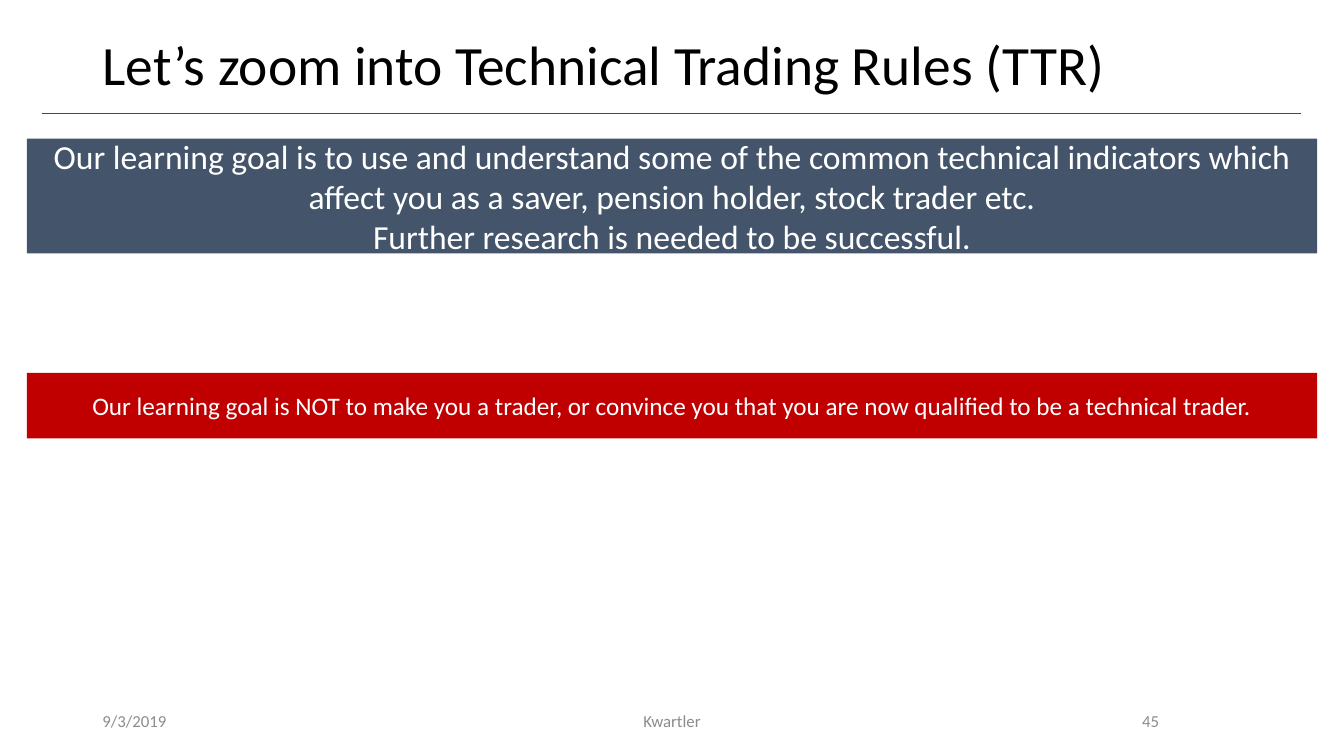
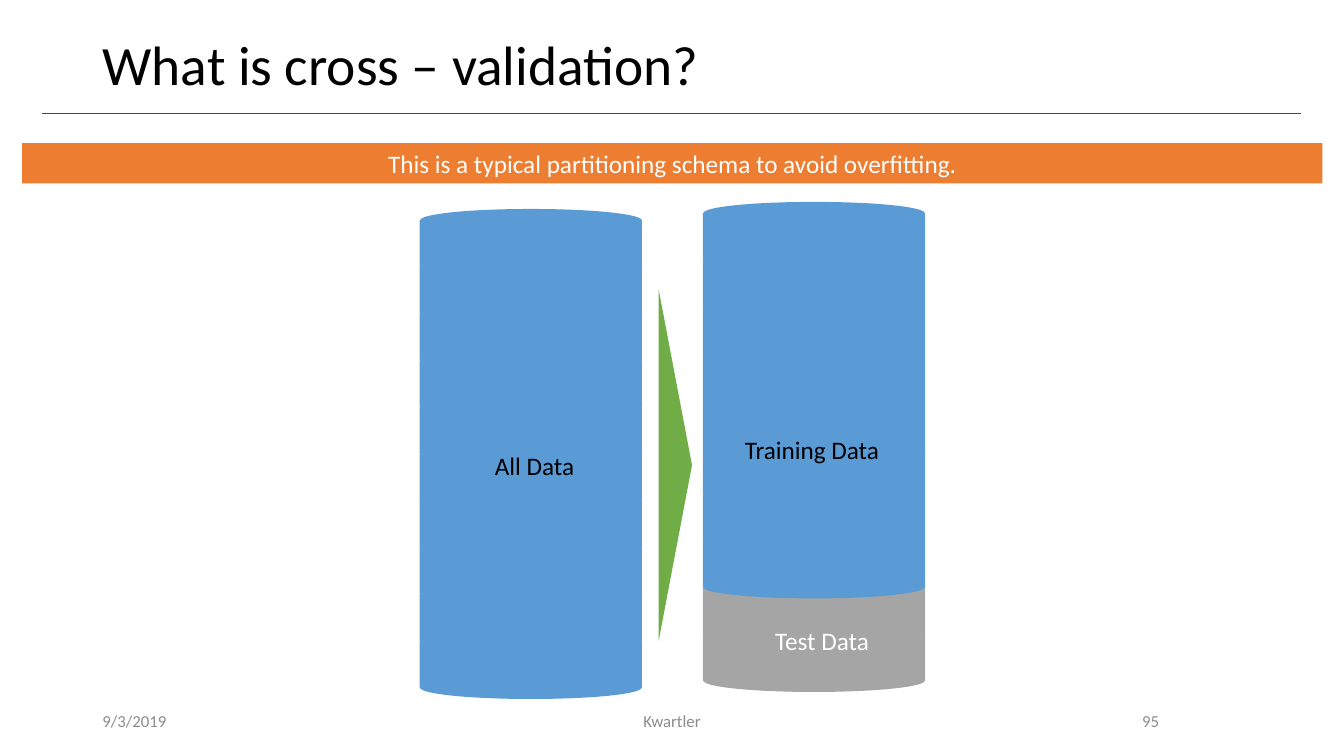
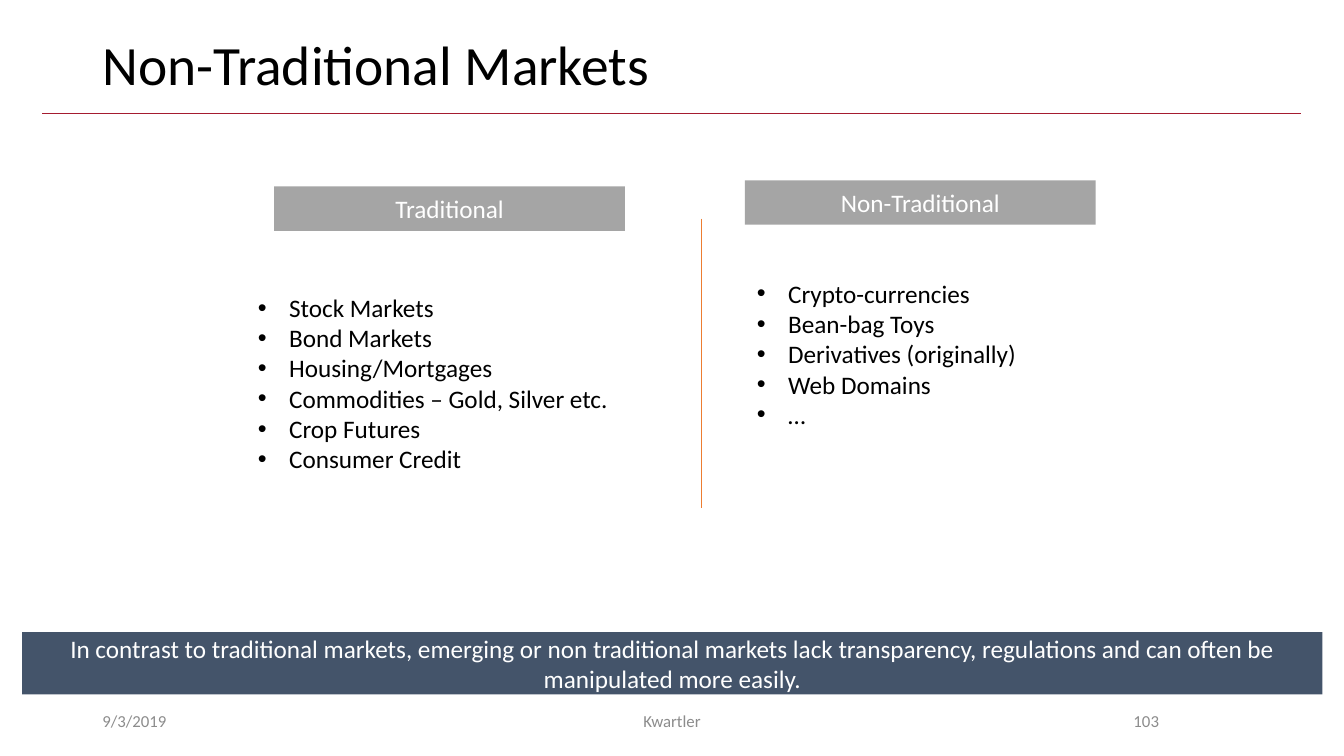
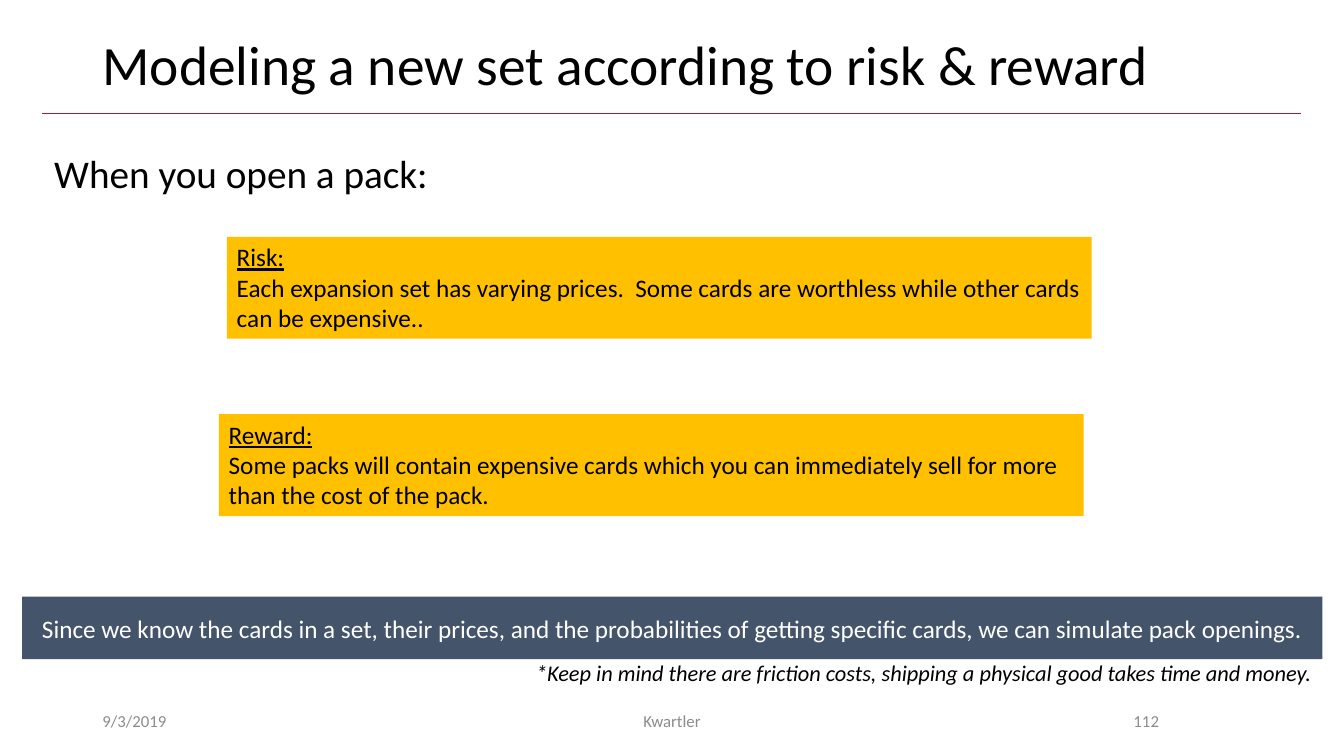
from lxml import etree
from pptx import Presentation
from pptx.dml.color import RGBColor
from pptx.enum.shapes import MSO_CONNECTOR, MSO_SHAPE
from pptx.enum.text import MSO_ANCHOR, MSO_AUTO_SIZE, PP_ALIGN
from pptx.oxml.ns import qn
from pptx.util import Inches, Pt

LEFT, CENTER, RIGHT = PP_ALIGN.LEFT, PP_ALIGN.CENTER, PP_ALIGN.RIGHT
TOP, MIDDLE = MSO_ANCHOR.TOP, MSO_ANCHOR.MIDDLE
RECT, DISK = MSO_SHAPE.RECTANGLE, MSO_SHAPE.FLOWCHART_MAGNETIC_DISK
TRIANGLE = MSO_SHAPE.ISOSCELES_TRIANGLE
STRAIGHT = MSO_CONNECTOR.STRAIGHT
FIT_TEXT, NO_FIT = MSO_AUTO_SIZE.SHAPE_TO_FIT_TEXT, MSO_AUTO_SIZE.NONE

FONT = "Calibri"
COLORS = {name: RGBColor.from_string(value) for name, value in {
    "black": "000000", "white": "FFFFFF", "footer": "8C8C8C",
    "slate": "44546A", "crimson": "A51C30", "red": "C00000",
    "orange": "ED7D31", "gold": "FFC000", "blue": "5B9BD5",
    "gray": "A5A5A5", "green": "70AD47",
}.items()}

prs = Presentation()
prs.slide_width, prs.slide_height = Inches(13.33), Inches(7.5)
X, Y = prs.slide_width / 100, prs.slide_height / 100  # one percent of the slide

BAND_X, BAND_W, BAND_H = 1.65, 96.75, 8.27
FOOTER_Y, ROW_H = 92.67, 5.33


def box(s, at, text="", size=18, color="black", fill=None, line=None,
        align=LEFT, anchor=TOP, wrap=True, kind=RECT):
    """Add a filled shape, or a text box if there is no fill; at is in percent."""
    x, y, w, h = at
    place = int(x * X), int(y * Y), int(w * X), int(h * Y)
    if fill:
        sp = s.shapes.add_shape(kind, *place)
        sp.shadow.inherit = False
        sp.fill.solid()
        sp.fill.fore_color.rgb = COLORS[fill]
        if line:
            sp.line.color.rgb = COLORS[line]
            sp.line.width = Pt(1)
        else:
            sp.line.fill.background()
    else:
        sp = s.shapes.add_textbox(*place)
    if text:
        tf = sp.text_frame
        tf.text = text
        tf.word_wrap = wrap
        tf.auto_size = NO_FIT if wrap else FIT_TEXT
        tf.vertical_anchor = anchor
        for p in tf.paragraphs:
            p.alignment = align
            for r in p.runs:
                r.font.name, r.font.size = FONT, Pt(size)
                r.font.color.rgb = COLORS[color]
    return sp


def new_slide(title, number):
    """Add a slide with its title and footers."""
    s = prs.slides.add_slide(prs.slide_layouts[5])
    sp = s.shapes.title
    sp.left, sp.top = int(6.88 * X), int(5.33 * Y)
    sp.width, sp.height = int(86.25 * X), int(7.2 * Y)
    tf = sp.text_frame
    tf.text = title
    tf.auto_size, tf.vertical_anchor = NO_FIT, MIDDLE
    p = tf.paragraphs[0]
    p.alignment, p.line_spacing = LEFT, 0.9
    font = p.runs[0].font
    font.name, font.size, font.color.rgb = FONT, Pt(39.6), COLORS["black"]
    for x, w, text, align in ((6.88, 22.5, "9/3/2019", LEFT),
                              (33.13, 33.75, "Kwartler", CENTER),
                              (70.63, 16.35, str(number), RIGHT)):
        box(s, (x, FOOTER_Y, w, ROW_H), text, 12, "footer", align=align, anchor=MIDDLE)
    return s


# Learning goals
s = new_slide("Let’s zoom into Technical Trading Rules (TTR)", 45)
goals = (
    (18.33, 15.2, "slate", 24,
     "Our learning goal is to use and understand some of the common technical "
     "indicators which affect you as a saver, pension holder, stock trader etc.\n"
     "Further research is needed to be successful."),
    (49.33, 8.67, "red", 18,
     "Our learning goal is NOT to make you a trader, or convince you that you are "
     "now qualified to be a technical trader."),
)
for y, h, fill, size, text in goals:
    box(s, (2, y, 96, h), text, size, "white", fill, align=CENTER, anchor=MIDDLE)

# Cross-validation
s = new_slide("What is cross – validation?", 95)
DISK_STEP, DISK_COUNT = 6.19, 10
for x, top, test_count in ((31.28, 27.73, 0), (52.35, 26.8, 2)):
    for i in reversed(range(DISK_COUNT)):
        fill = "gray" if i >= DISK_COUNT - test_count else "blue"
        box(s, (x, top + i * DISK_STEP, 16.43, 8.93), fill=fill, line=fill, kind=DISK)
for x, y, w, text, color in ((36.08, 58.93, 7.5, "All Data", "black"),
                             (54.68, 56.8, 12.08, "Training Data", "black"),
                             (56.93, 82, 8.55, "Test Data", "white")):
    box(s, (x, y, w, ROW_H), text, color=color, wrap=False)
arrow = box(s, (37.2, 59.33, 26.1, 4.4), fill="green", kind=TRIANGLE)
arrow.rotation = 90
box(s, (BAND_X, 18.93, BAND_W, ROW_H),
    "This is a typical partitioning schema to avoid overfitting.",
    color="white", fill="orange", align=CENTER)

# Market types
s = markets = new_slide("Non-Traditional Markets", 103)
columns = (
    ("Traditional", (20.4, 24.67), (18.45, 38, 27.9, 25.6),
     ("Stock Markets", "Bond Markets", "Housing/Mortgages",
      "Commodities – Gold, Silver etc.", "Crop Futures", "Consumer Credit")),
    ("Non-Traditional", (55.43, 23.87), (55.58, 36.13, 21, 21.6),
     ("Crypto-currencies", "Bean-bag Toys", "Derivatives (originally)",
      "Web Domains", "…")),
)
for heading, corner, list_at, items in columns:
    box(s, (*corner, 26.1, 5.87), heading, color="white", fill="gray",
        align=CENTER, anchor=MIDDLE)
    sp = box(s, list_at, "\n".join(items), wrap=False)
    for p in sp.text_frame.paragraphs:
        pPr = p._p.get_or_add_pPr()
        pPr.set("marL", str(Inches(0.31)))
        pPr.set("indent", str(-Inches(0.31)))
        etree.SubElement(pPr, qn("a:buFont")).set("typeface", "Arial")
        etree.SubElement(pPr, qn("a:buChar")).set("char", "•")
box(s, (BAND_X, 83.6, BAND_W, BAND_H),
    "In contrast to traditional markets, emerging or non traditional markets lack "
    "transparency, regulations and can often be manipulated more easily.",
    color="white", fill="slate", align=CENTER, anchor=MIDDLE)

# Risk and reward
s = new_slide("Modeling a new set according to risk & reward", 112)
box(s, (3.3, 19.07, 29.63, 7.6), "When you open a pack:", 28, wrap=False)
cards = (
    (16.88, 31.33, "Risk:\nEach expansion set has varying prices.  Some cards are "
                   "worthless while other cards can be expensive.."),
    (16.28, 54.8, "Reward:\nSome packs will contain expensive cards which you can "
                  "immediately sell for more than the cost of the pack."),
)
for x, y, text in cards:
    sp = box(s, (x, y, 64.35, 13.47), text, fill="gold")
    sp.text_frame.paragraphs[0].runs[0].font.underline = True
note = box(s, (39.15, 86.53, 60, 4.93),
           "*Keep in mind there are friction costs, shipping a physical good takes "
           "time and money.", 16, wrap=False)
note.text_frame.paragraphs[0].runs[0].font.italic = True
box(s, (BAND_X, 78.93, BAND_W, BAND_H),
    "Since we know the cards in a set, their prices, and the probabilities of getting "
    "specific cards, we can simulate pack openings.",
    color="white", fill="slate", align=CENTER, anchor=MIDDLE)

# Title rules and the divider between the market types
lines = [(s, 3.15, 15, 96.83, 15, "crimson") for s in prs.slides]
lines.append((markets, 52.2, 28.93, 52.2, 67.2, "orange"))
for s, x1, y1, x2, y2, color in lines:
    rule = s.shapes.add_connector(STRAIGHT, int(x1 * X), int(y1 * Y),
                                  int(x2 * X), int(y2 * Y))
    rule.line.color.rgb = COLORS[color]
    rule.line.width = Pt(0.5)
    etree.SubElement(rule._element.spPr, qn("a:effectLst"))

prs.save("out.pptx")
